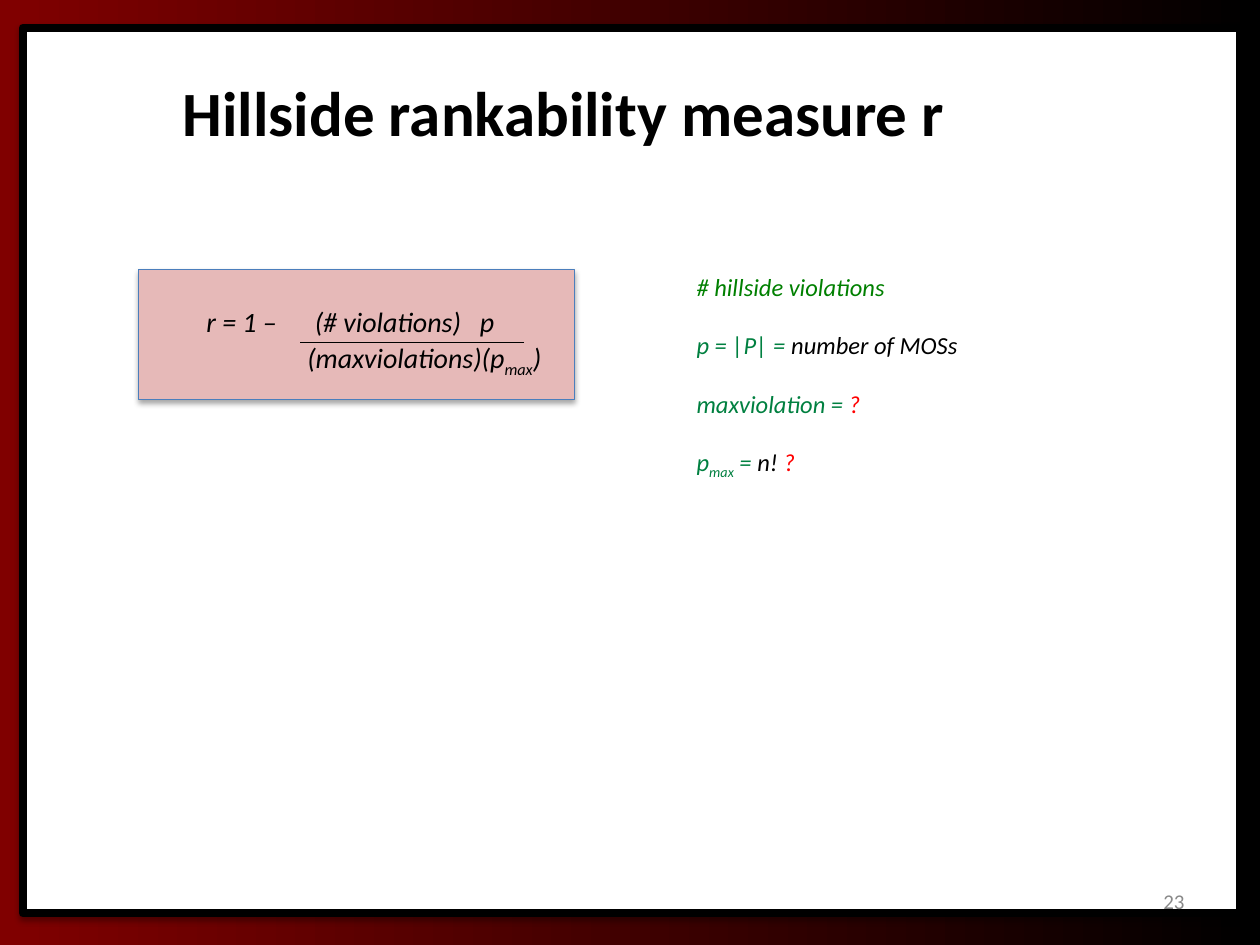
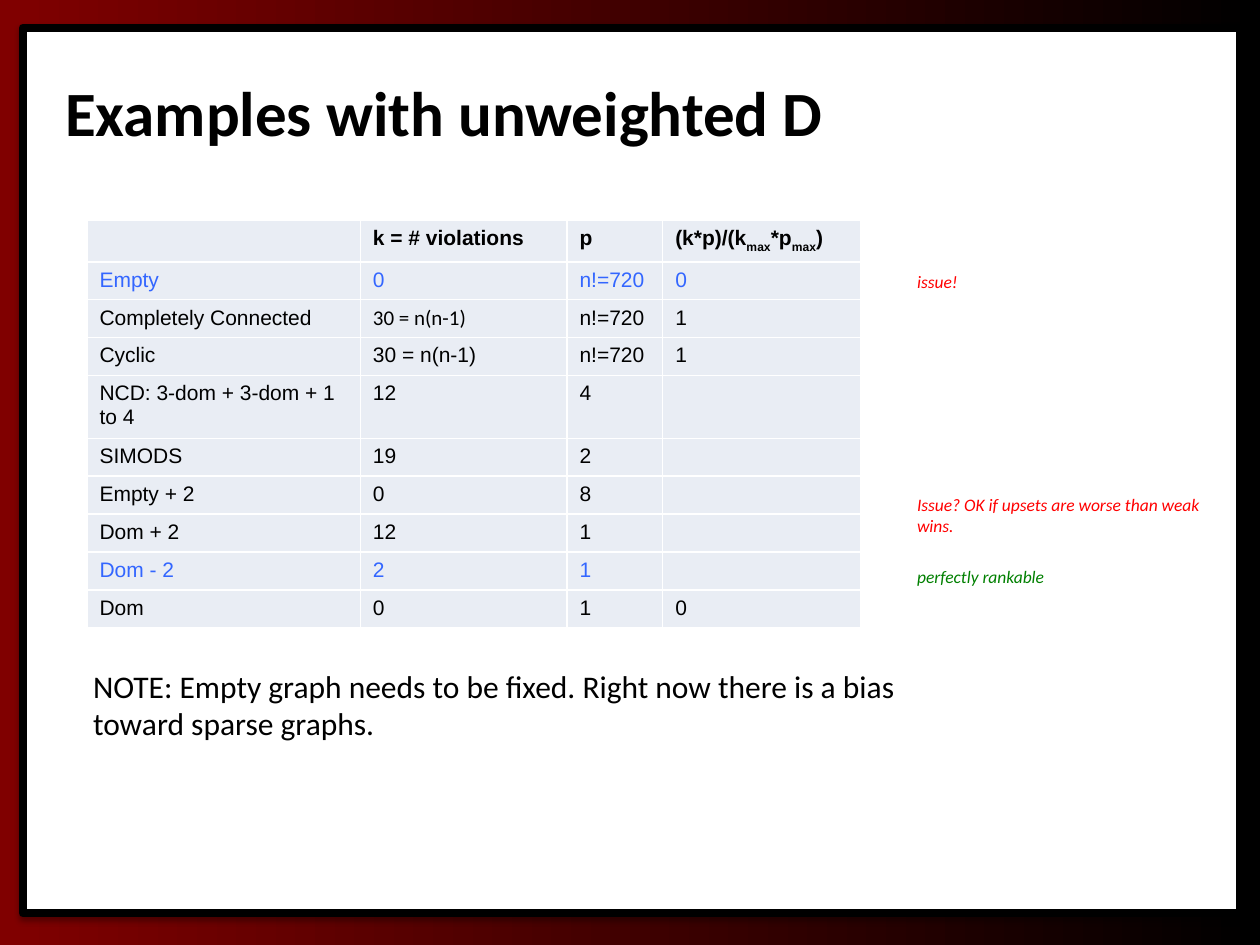
from lxml import etree
from pptx import Presentation
from pptx.dml.color import RGBColor
from pptx.enum.shapes import MSO_CONNECTOR, MSO_SHAPE
from pptx.enum.text import MSO_ANCHOR, PP_ALIGN
from pptx.oxml.ns import qn
from pptx.util import Inches, Pt

TOP, MIDDLE = MSO_ANCHOR.TOP, MSO_ANCHOR.MIDDLE
LEFT, CENTER, RIGHT = PP_ALIGN.LEFT, PP_ALIGN.CENTER, PP_ALIGN.RIGHT
RECTANGLE, STRAIGHT = MSO_SHAPE.RECTANGLE, MSO_CONNECTOR.STRAIGHT

BLACK, WHITE, MAROON, GREY = "000000", "FFFFFF", "800000", "898989"
GREEN, TEAL, RED, BLUE = "008000", "008040", "FF0000", "3366FF"
PINK, PINK_EDGE, CELL = "E6B9B8", "4B7EBC", "E9EDF4"
BODY, TABLE_FONT = "Calibri", "Arial"


def color(value):
    return RGBColor.from_string(value)


def write(para, spans, size, ink=BLACK, font=BODY, bold=False, italic=False):
    """Add spans given as text, or as (text, ink, is_subscript)."""
    for item in spans:
        text, tint, subscript = (item, ink, False) if isinstance(item, str) else item
        span = para.add_run()
        span.text = text
        span.font.name = font
        span.font.size = Pt(size)
        span.font.bold = bold
        span.font.italic = italic
        span.font.color.rgb = color(tint)
        if subscript:
            span._r.get_or_add_rPr().set("baseline", "-25000")


def add_text(page, box, lines, size, align=LEFT, anchor=MIDDLE, gap=0, **style):
    frame = page.shapes.add_textbox(*map(Inches, box)).text_frame
    frame.word_wrap = True
    frame.vertical_anchor = anchor
    for index, spans in enumerate(lines):
        para = frame.add_paragraph() if index else frame.paragraphs[0]
        para.alignment = align
        para.space_before = Pt(gap if index else 0)
        write(para, spans, size, **style)
    return frame


def add_panel(page, box, fill, edge, weight):
    """Rectangle with a soft shadow below it."""
    panel = page.shapes.add_shape(RECTANGLE, *map(Inches, box))
    panel.fill.solid()
    panel.fill.fore_color.rgb = color(fill)
    panel.line.color.rgb = color(edge)
    panel.line.width = Pt(weight)
    panel.shadow.inherit = False
    effects = panel._element.spPr.find(qn("a:effectLst"))
    shadow = etree.SubElement(effects, qn("a:outerShdw"), blurRad="40000",
                              dist="23000", dir="5400000", rotWithShape="0")
    tint = etree.SubElement(shadow, qn("a:srgbClr"), val=BLACK)
    etree.SubElement(tint, qn("a:alpha"), val="35000")


def add_page(deck, title, title_box):
    """Gradient background, white framed sheet and title."""
    page = deck.slides.add_slide(deck.slide_layouts[6])
    fill = page.background.fill
    fill.gradient()
    fill.gradient_angle = 0
    for stop, tint in zip(fill.gradient_stops, (MAROON, BLACK)):
        stop.color.rgb = color(tint)
    add_panel(page, (0.18, 0.22, 9.66, 7.03), WHITE, BLACK, 4.5)
    add_text(page, title_box, [[title]], 36, align=CENTER, bold=True)
    return page


def add_formula(page, box):
    left, top, width, height = box
    add_panel(page, box, PINK, PINK_EDGE, 0.75)
    # Numerator, with tab stops that line it up over the denominator
    frame = add_text(page, (left + 0.44, top + 0.1, 3.02, 0.62),
                     [["r = 1 –\t(# violations)\tp"]], 16, italic=True)
    properties = frame.paragraphs[0]._p.get_or_add_pPr()
    tabs = etree.SubElement(properties, qn("a:tabLst"))
    for stop in (0.86, 2.17):
        etree.SubElement(tabs, qn("a:tab"), pos=str(Inches(stop)), algn="l")
    # Denominator
    add_text(page, (left + 1.24, top + 0.4, 3.02, 0.62),
             [["(maxviolations)(p", ("max", BLACK, True), ")"]], 16, italic=True)
    # Fraction bar
    bar_top = Inches(top + 0.58)
    bar = page.shapes.add_connector(STRAIGHT, Inches(left + 3.06), bar_top,
                                    Inches(left + 1.28), bar_top)
    bar.line.color.rgb = color(BLACK)
    bar.line.width = Pt(0.25)
    etree.SubElement(bar._element.spPr, qn("a:effectLst"))


def add_border(cell):
    properties = cell._tc.get_or_add_tcPr()
    for index, side in enumerate(("lnL", "lnR", "lnT", "lnB")):
        edge = etree.Element(qn("a:" + side), w=str(Pt(1)))
        fill = etree.SubElement(edge, qn("a:solidFill"))
        etree.SubElement(fill, qn("a:srgbClr"), val=WHITE)
        properties.insert(index, edge)


def add_examples(page, left, top):
    widths = (2.17, 1.64, 0.76, 1.57)
    heights = (0.31, 0.29, 0.3, 0.29, 0.48, 0.3, 0.3, 0.3, 0.3, 0.29)
    sub = ("max", BLACK, True)
    rows = [
        ("", "k = # violations", "p", ("(k*p)/(k", sub, "*p", sub, ")")),
        ("Empty", "0", "n!=720", "0"),
        ("Completely Connected", "30 = n(n-1)", "n!=720", "1"),
        ("Cyclic", "30 = n(n-1)", "n!=720", "1"),
        ("NCD: 3-dom + 3-dom + 1 to 4", "12", "4", ""),
        ("SIMODS", "19", "2", ""),
        ("Empty + 2", "0", "8", ""),
        ("Dom + 2", "12", "1", ""),
        ("Dom - 2", "2", "1", ""),
        ("Dom", "0", "1", "0"),
    ]
    blue_rows, calibri_cell = (1, 8), (2, 1)
    table = page.shapes.add_table(len(rows), len(widths), Inches(left), Inches(top),
                                  Inches(sum(widths)), Inches(sum(heights))).table
    table.first_row = table.horz_banding = False
    for column, width in zip(table.columns, widths):
        column.width = Inches(width)
    for r, (row, height) in enumerate(zip(rows, heights)):
        table.rows[r].height = Inches(height)
        for c, content in enumerate(row):
            cell = table.cell(r, c)
            cell.fill.solid()
            cell.fill.fore_color.rgb = color(CELL)
            add_border(cell)
            para = cell.text_frame.paragraphs[0]
            if not content:
                # Keeps an empty cell from stretching its row
                etree.SubElement(para._p, qn("a:endParaRPr"), sz="1200")
                continue
            write(para, [content] if isinstance(content, str) else content, 12,
                  ink=BLUE if r in blue_rows else BLACK, bold=r == 0,
                  font=BODY if (r, c) == calibri_cell else TABLE_FONT)


def build_measure(deck):
    page = add_page(deck, "Hillside rankability measure r", (0.18, 0.26, 8.59, 1.25))
    # Definitions
    definitions = [
        [("# hillside violations", GREEN, False)],
        ["p = |P| = ", ("number of MOSs", BLACK, False)],
        ["maxviolation = ", ("?", RED, False)],
        ["p", ("max", TEAL, True), " = ", ("n! ", BLACK, False), ("?", RED, False)],
    ]
    add_text(page, (5.43, 2.11, 2.46, 2.21), definitions, 14, anchor=TOP, gap=16.5,
             ink=TEAL, italic=True)
    add_formula(page, (1.1, 2.14, 3.46, 1.03))
    # Page number
    add_text(page, (7.17, 6.95, 2.33, 0.4), [["23"]], 12, align=RIGHT, ink=GREY)


def build_examples(deck):
    page = add_page(deck, "Examples with unweighted D", (0.25, 0.26, 6.55, 1.25))
    add_examples(page, 0.69, 1.75)
    # Remarks beside the table
    remarks = [
        (1.72, 1.38, "issue!", RED),
        (3.57, 2.66, "Issue? OK if upsets are worse than weak wins.", RED),
        (4.06, 1.38, "perfectly rankable", GREEN),
    ]
    for top, width, text, ink in remarks:
        add_text(page, (7.18, top, width, 1.03), [[text]], 10, ink=ink, italic=True)
    # Note below the table
    add_text(page, (0.64, 4.5, 6.98, 2.18),
             [["NOTE: Empty graph needs to be fixed. "
               "Right now there is a bias toward sparse graphs."]], 18)


def main():
    deck = Presentation()
    deck.slide_width, deck.slide_height = Inches(10), Inches(7.5)
    build_measure(deck)
    build_examples(deck)
    deck.save("out.pptx")


if __name__ == "__main__":
    main()
